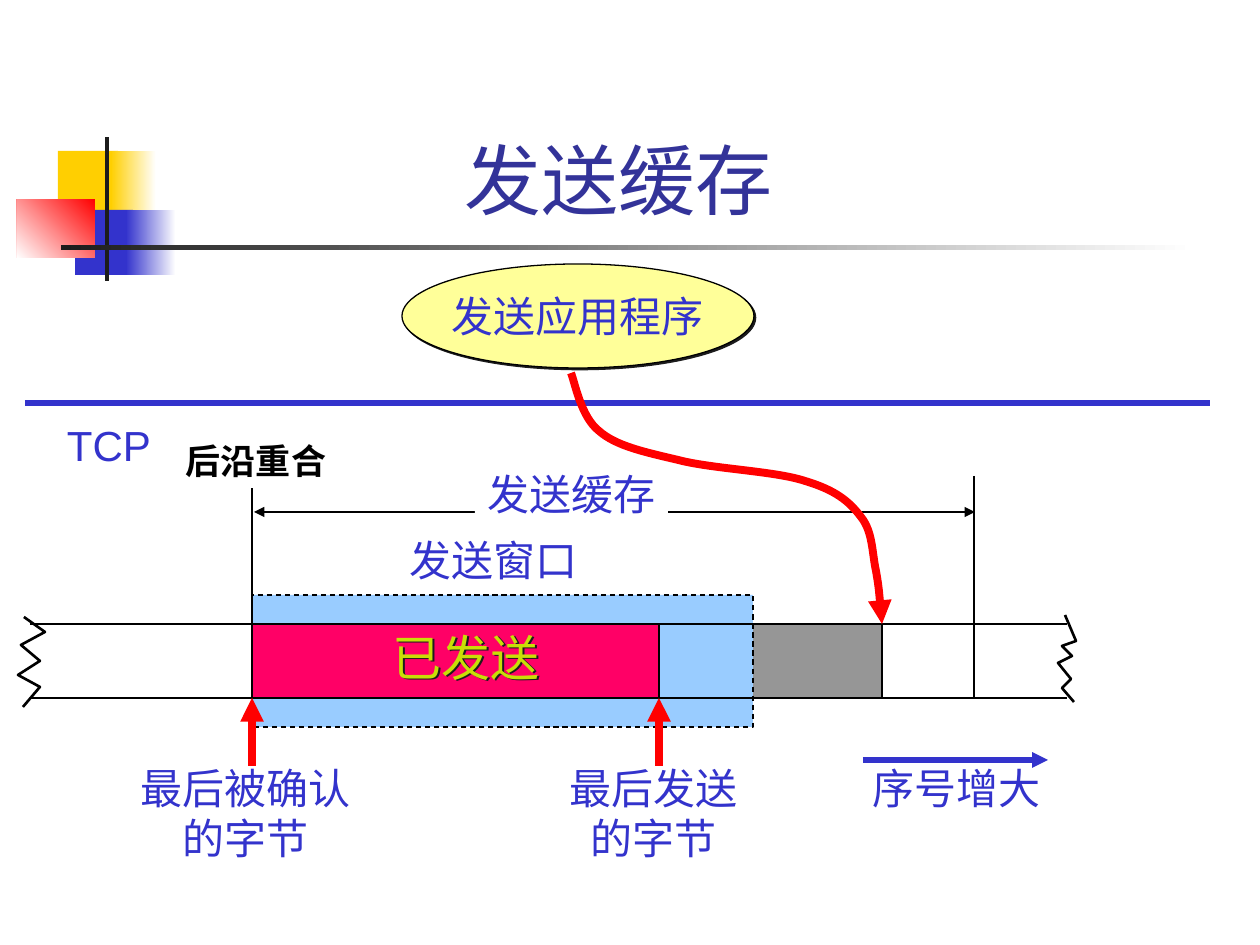
from lxml import etree
from pptx import Presentation
from pptx import util as u
from pptx.dml.color import RGBColor
from pptx.enum import dml, shapes, text
from pptx.oxml.ns import qn

PX = 914400 / 126
WHITE = RGBColor(0xFF, 0xFF, 0xFF)
BLACK = RGBColor(0, 0, 0)
INK = RGBColor(0x1C, 0x1C, 0x1C)
BLUE = RGBColor(0x33, 0x33, 0xCC)
NAVY = RGBColor(0x33, 0x33, 0x99)
SKY = RGBColor(0x99, 0xCC, 0xFF)
RED = RGBColor(0xFF, 0, 0)
PINK = RGBColor(0xFF, 0, 0x66)
GOLD = RGBColor(0xFF, 0xCF, 0x01)
CREAM = RGBColor(0xFF, 0xFF, 0x99)
GREY = RGBColor(0x96, 0x96, 0x96)
LIME = RGBColor(0xC9, 0xDE, 0x06)

prs = Presentation()
prs.slide_width, prs.slide_height = u.Inches(10), u.Inches(7.5)
sp = prs.slides.add_slide(prs.slide_layouts[6]).shapes


def stroke(s, color, width, ends=()):
    """Style an outline, add arrowheads and leave out the theme shadow."""
    s.line.color.rgb = color
    s.line.width = u.Pt(width)
    for end in ends:
        etree.SubElement(s.line._ln, qn("a:" + end), type="triangle")
    pr = s._element.spPr
    if pr.find(qn("a:effectLst")) is None:
        etree.SubElement(pr, qn("a:effectLst"))


def write(s, words, size, color, font="Arial", bold=False, anchor=text.MSO_ANCHOR.TOP):
    """Put centred, unwrapped text into a shape."""
    tf = s.text_frame
    tf.text = words
    tf.word_wrap = False
    tf.vertical_anchor = anchor
    for p in tf.paragraphs:
        p.alignment = text.PP_ALIGN.CENTER
        for r in p.runs:
            r.font.size, r.font.name, r.font.bold = u.Pt(size), font, bold
            r.font.color.rgb = color


# Corner ornament, then the buffer areas: box, colours, gradient angle
for box, colors, angle in [
    ((58, 151, 60, 66), [GOLD], 0),
    ((111, 151, 45, 66), [WHITE, GOLD], 180),
    ((75, 210, 58, 65), [BLUE], 0),
    ((126, 210, 50, 65), [WHITE, BLUE], 180),
    ((17, 199, 78, 59), [RED, WHITE], 225),
    ((105, 137, 4, 144), [INK], 0),
    ((61, 245, 1134, 5), [WHITE, INK], 180),
    ((659, 624, 222, 74), [GREY], 0),
    ((252, 595, 501, 132), [SKY], 0),
    ((252, 624, 407, 74), [PINK], 0),
]:
    s = sp.add_shape(shapes.MSO_SHAPE.RECTANGLE, *[round(v * PX) for v in box])
    s.shadow.inherit = False
    s.line.fill.background()
    if len(colors) == 1:
        s.fill.solid()
        s.fill.fore_color.rgb = colors[0]
    else:
        s.fill.gradient()
        s.fill.gradient_angle = angle
        for stop, color in zip(s.fill.gradient_stops, colors):
            stop.color.rgb = color
    if colors == [SKY]:
        stroke(s, BLACK, 0.75)
        s.line.dash_style = dml.MSO_LINE.DASH

# Sending application
ellipse = sp.add_shape(shapes.MSO_SHAPE.OVAL, *[round(v * PX) for v in (402, 264, 352, 104)])
ellipse.shadow.inherit = False
ellipse.fill.solid()
ellipse.fill.fore_color.rgb = CREAM
stroke(ellipse, BLACK, 0.75)
write(ellipse, "发送应用程序", 24, BLUE, anchor=text.MSO_ANCHOR.MIDDLE)

# Straight lines and arrows
TAIL = ["tailEnd"]
for ends, color, width, heads in [
    ((25, 403, 1210, 403), BLUE, 3, []),
    ((254, 512, 975, 512), BLACK, 0.75, ["headEnd", "tailEnd"]),
    ((30, 624, 1067, 624), BLACK, 0.75, []),
    ((30, 698, 1067, 698), BLACK, 0.75, []),
    ((252, 476, 252, 698), BLACK, 0.75, []),
    ((659, 624, 659, 698), BLACK, 0.75, []),
    ((882, 624, 882, 698), BLACK, 0.75, []),
    ((974, 476, 974, 698), BLACK, 0.75, []),
    ((252, 766, 252, 698), RED, 4.5, TAIL),
    ((659, 766, 659, 698), RED, 4.5, TAIL),
    ((863, 760, 1048, 760), BLUE, 3, TAIL),
]:
    s = sp.add_connector(shapes.MSO_CONNECTOR.STRAIGHT, *[round(v * PX) for v in ends])
    stroke(s, color, width, heads)

# Labels, each a little wider than its longest line
for words, box, size, color, fill in [
    ("发送缓存", (475, 462, 193, 63), 24, BLUE, WHITE),
    ("发送窗口", (396, 528, 195, 63), 24, BLUE, None),
    ("最后被确认\n的字节", (126, 756, 240, 113), 24, BLUE, None),
    ("最后发送\n的字节", (556, 756, 195, 113), 24, BLUE, None),
    ("序号增大", (859, 756, 195, 63), 24, BLUE, None),
    ("TCP", (51, 413, 116, 63), 24, BLUE, None),
    ("后沿重合", (170, 433, 172, 55), 20, BLACK, WHITE),
    ("发送缓存", (150, 29, 937, 202), 44, NAVY, None),
    ("已发送", (376, 621, 180, 72), 28, LIME, None),
]:
    s = sp.add_textbox(*[round(v * PX) for v in box])
    if fill is not None:
        s.fill.solid()
        s.fill.fore_color.rgb = fill
    title, note = size == 44, size == 20
    write(s, words, size, color, "Times New Roman" if note else "Arial", note,
          text.MSO_ANCHOR.BOTTOM if title else text.MSO_ANCHOR.TOP)
    if not title:
        s.text_frame.auto_size = text.MSO_AUTO_SIZE.SHAPE_TO_FIT_TEXT
sent = s

# Hard shadows of the ellipse and the "sent" label
for s in (ellipse, sent):
    s.shadow.inherit = False
    effects = s._element.spPr.find(qn("a:effectLst"))
    shadow = etree.SubElement(effects, qn("a:outerShdw"), dist=str(u.Pt(1.4)), dir="2700000",
                              algn="ctr", rotWithShape="0")
    etree.SubElement(shadow, qn("a:srgbClr"), val=str(INK))

# Torn ends of the buffer and the curved write arrow
torn_left = [(24, 617), (45, 632), (21, 645), (40, 661), (18, 675), (40, 687), (23, 707)]
torn_right = [(1065, 615), (1076, 641), (1062, 646), (1072, 656), (1058, 663),
              (1071, 679), (1062, 688), (1074, 702)]
curve = [(571, 373), (575, 383), (581, 417), (599, 431), (616, 446), (644, 452), (678, 460),
         (712, 469), (775, 471), (805, 481), (835, 490), (849, 501), (861, 517),
         (873, 532), (872, 553), (876, 571), (879, 588), (881, 612), (882, 624)]
for points, color, width, heads in [
    (torn_left, BLACK, 1.5, []),
    (torn_right, BLACK, 1.5, []),
    (curve, RED, 4.5, TAIL),
]:
    fb = sp.build_freeform(*points[0], scale=PX)
    fb.add_line_segments(points[1:], close=False)
    s = fb.convert_to_shape()
    s.shadow.inherit = False
    s.fill.background()
    stroke(s, color, width, heads)

# Each three segments of the arrow become one Bézier curve
segments = list(s._element.iter(qn("a:lnTo")))
for i in range(0, len(segments), 3):
    bezier = etree.SubElement(segments[i].getparent(), qn("a:cubicBezTo"))
    for segment in segments[i:i + 3]:
        bezier.append(segment[0])
        segment.getparent().remove(segment)

prs.save("out.pptx")
